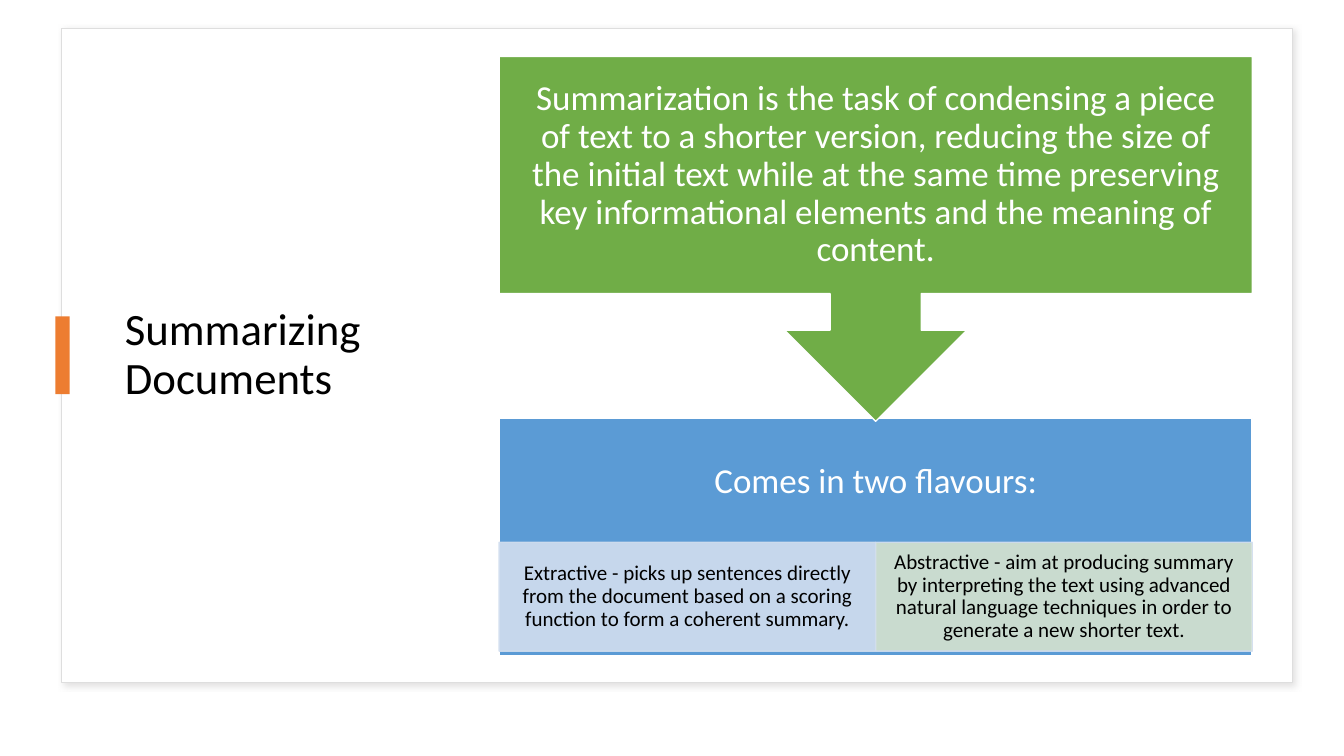
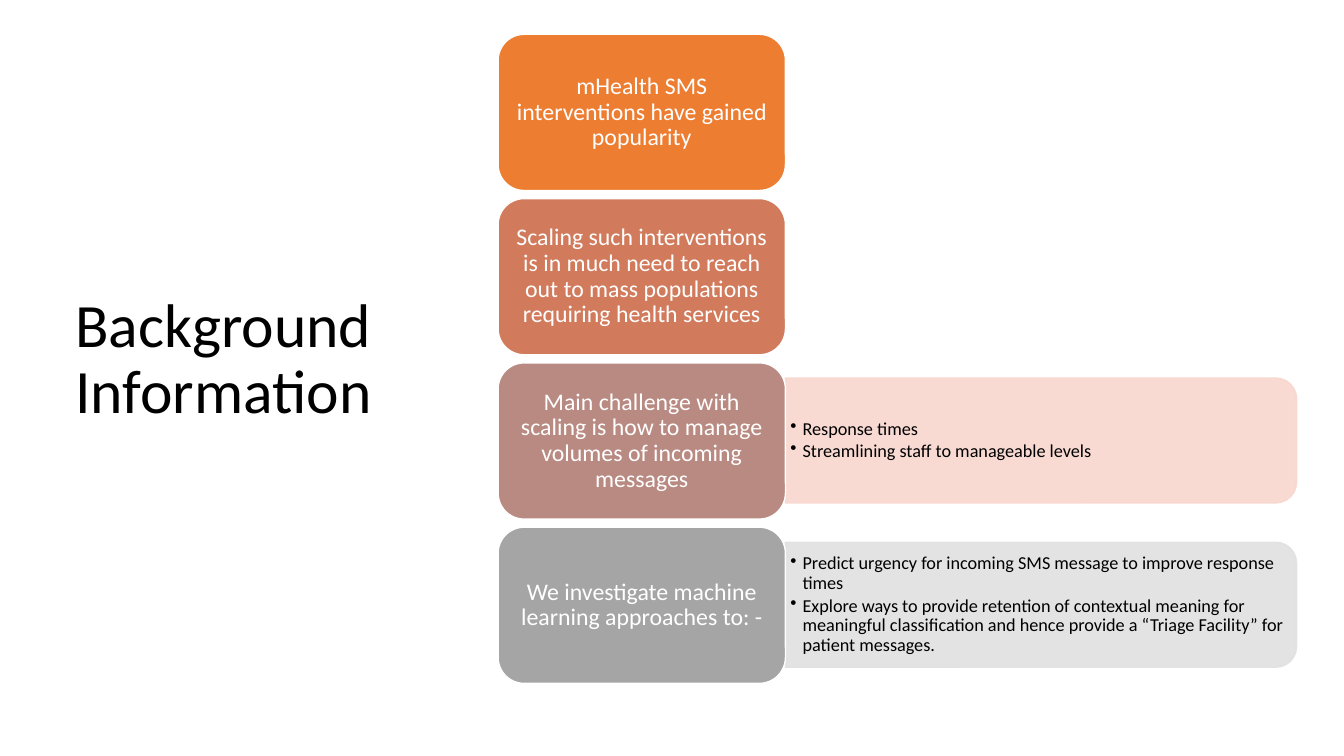
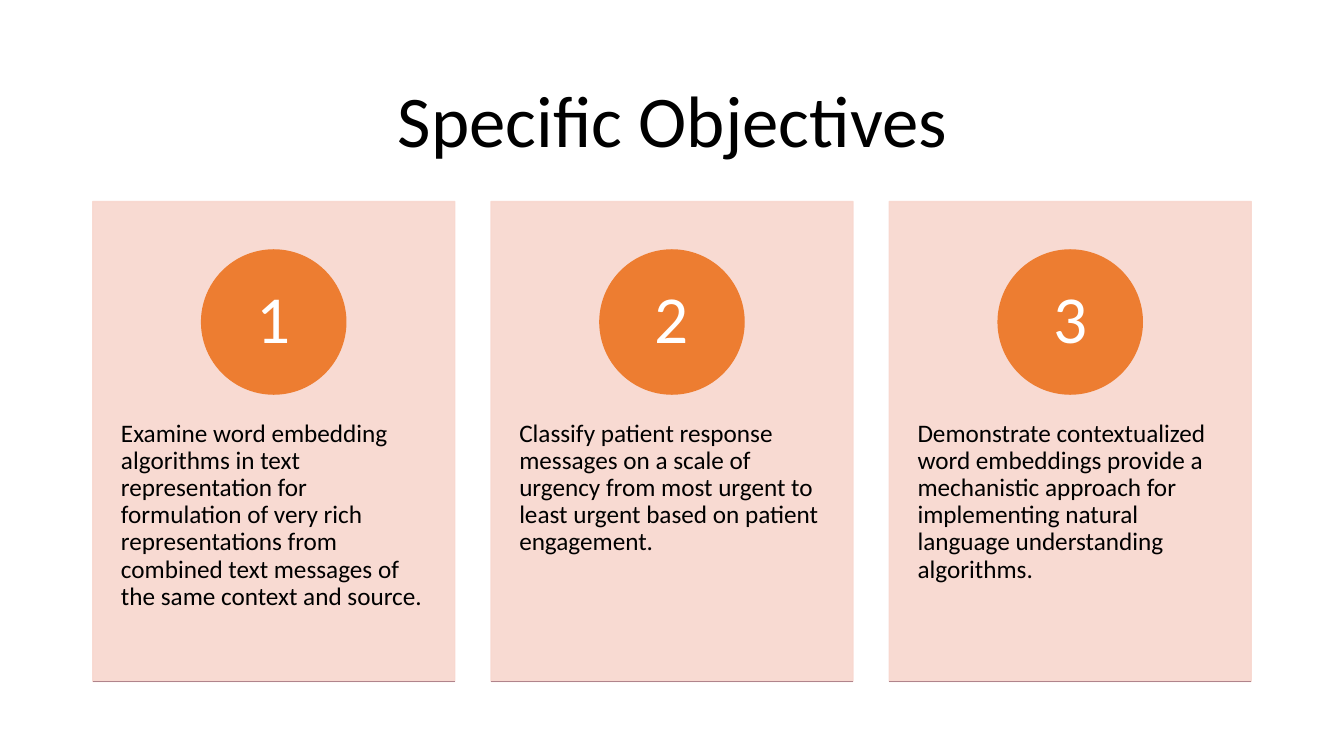
from lxml.etree import SubElement
from pptx import Presentation
from pptx.dml.color import RGBColor
from pptx.enum.shapes import MSO_CONNECTOR as Link, MSO_SHAPE as Kind
from pptx.enum.text import MSO_ANCHOR as Anchor, PP_ALIGN as Align
from pptx.oxml.ns import qn
from pptx.util import Emu, Pt

PX = 9144  # 100 px to the inch
FONT = "Calibri"
WHITE, BLACK = "FFFFFF", "000000"
ORANGE, GREEN, BLUE, GREY = "ED7D31", "70AD47", "5B9BD5", "A5A5A5"
PEACH, PALE = "F8D7CE", "D2DEEF"


def px(n):
    return Emu(round(n * PX))


def rgb(code):
    return RGBColor.from_string(code)


def write(shape, lines, size, color=BLACK, align=Align.CENTER,
          anchor=Anchor.MIDDLE, pad=(10, 5, 10, 5), dots=False):
    """Fill a shape with paragraphs; pad is left, top, right, bottom."""
    frame = shape.text_frame
    frame.word_wrap = True
    frame.vertical_anchor = anchor
    (frame.margin_left, frame.margin_top,
     frame.margin_right, frame.margin_bottom) = map(px, pad)
    for i, line in enumerate(lines):
        para = frame.add_paragraph() if i else frame.paragraphs[0]
        if dots:
            props = para._p.get_or_add_pPr()
            props.set("marL", str(px(12)))
            props.set("indent", str(px(-12)))
            SubElement(props, qn("a:buChar")).set("char", "•")
            para.space_after = Pt(2)
        para.alignment = align
        para.line_spacing = 0.9
        run = para.add_run()
        run.text = line
        font = run.font
        font.name, font.size = FONT, Pt(size)
        font.color.rgb = rgb(color)


def label(slide, box, lines, size, **style):
    write(slide.shapes.add_textbox(*map(px, box)), lines, size, **style)


def title(slide, box, text, size, align=Align.LEFT):
    label(slide, box, [text], size, align=align)


def block(slide, kind, box, fill, line=None, alpha=None):
    """Add a shape; alpha is the opacity of fill and line in percent."""
    shape = slide.shapes.add_shape(kind, *map(px, box))
    shape.shadow.inherit = False
    shape.fill.solid()
    shape.fill.fore_color.rgb = rgb(fill)
    if line:
        shape.line.color.rgb = rgb(line)
        shape.line.width = Pt(1)
    else:
        shape.line.fill.background()
    if alpha:
        for node in shape._element.spPr.iter(qn("a:srgbClr")):
            SubElement(node, qn("a:alpha")).set("val", str(alpha * 1000))
    return shape


def shade(shape):
    """Give a shape a soft shadow to the lower right."""
    effects = shape._element.spPr.find(qn("a:effectLst"))
    outer = SubElement(effects, qn("a:outerShdw"), blurRad=str(Pt(4)),
                       dist=str(Pt(3)), dir="2700000", algn="tl",
                       rotWithShape="0")
    color = SubElement(outer, qn("a:srgbClr"), val="C5C3C3")
    SubElement(color, qn("a:alpha"), val="50000")


def rule(slide, x, y, w, color):
    line = slide.shapes.add_connector(
        Link.STRAIGHT, px(x), px(y), px(x + w), px(y))
    line.line.color.rgb = rgb(color)
    line.line.width = Pt(0.75)
    SubElement(line._element.spPr, qn("a:effectLst"))


def panel(slide, x, y, w, h, color, lines):
    """Add a bulleted panel, rounded on its right side."""
    box = (x + (w - h) / 2, y + (h - w) / 2, h, w)
    shape = block(slide, Kind.ROUND_2_SAME_RECTANGLE, box, color, color, 90)
    shape.rotation = 90
    label(slide, (x, y + 6, w - 6, h - 12), lines, 13, align=Align.LEFT,
          pad=(5, 3, 5, 3), dots=True)


def node(slide, x, y, w, h, color, text):
    shape = block(slide, Kind.ROUNDED_RECTANGLE, (x, y, w, h), color, WHITE)
    write(shape, [text], 17, WHITE, pad=(7, 4, 7, 4))


def card(slide, x, num, text):
    y, w, h, size = 200, 359, 476, 143
    shape = block(slide, Kind.RECTANGLE, (x, y, w, h), PEACH, PEACH, 90)
    write(shape, [text], 18, align=Align.LEFT, anchor=Anchor.TOP,
          pad=(28, 217, 28, 36))
    disc = block(slide, Kind.OVAL, (x + (w - size) / 2, y + 48, size, size),
                 ORANGE, ORANGE)
    write(disc, [str(num)], 48, WHITE, pad=(11, 1, 11, 1))
    rule(slide, x, y + h, w, "B0848C")


def summary(slide):
    shade(block(slide, Kind.RECTANGLE, (61, 28, 1221, 649), WHITE, "DEDEDE"))
    title(slide, (114, 55, 327, 595), "Summarizing Documents", 32)
    block(slide, Kind.RECTANGLE, (55, 314, 14, 77), ORANGE)

    x, w = 495, 747
    base = block(slide, Kind.RECTANGLE, (x, 415, w, 236), BLUE, WHITE)
    write(base, ["Comes in two flavours:"], 25, WHITE, pad=(19, 19, 19, 128))
    types = [
        (PALE, "Extractive - picks up sentences directly from the document "
         "based on a scoring function to form a coherent summary."),
        ("D5E3CF", "Abstractive - aim at producing summary by interpreting "
         "the text using advanced natural language techniques in order to "
         "generate a new shorter text."),
    ]
    for i, (color, text) in enumerate(types):
        half = block(slide, Kind.RECTANGLE, (x + i * w / 2, 538, w / 2, 108),
                     color, PALE, 90)
        write(half, [text], 15, pad=(12, 2, 12, 2))

    arrow = block(slide, Kind.UP_ARROW_CALLOUT, (x, 56, w, 362), GREEN, WHITE)
    arrow.rotation = 180
    label(slide, (x, 56, w, 235), [
        "Summarization is the task of condensing a piece of text to a shorter "
        "version, reducing the size of the initial text while at the same "
        "time preserving key informational elements and the meaning of "
        "content."], 25, color=WHITE, pad=(19, 19, 19, 19))


def context(slide):
    title(slide, (65, 70, 346, 575), "Background Information", 44)
    rows = [
        (ORANGE, "mHealth SMS interventions have gained popularity", None, []),
        ("D17B5C", "Scaling such interventions is in much need to reach out "
         "to mass populations requiring health services", None, []),
        ("B98A82", "Main challenge with scaling is how to manage volumes of "
         "incoming messages", PEACH,
         ["Response times", "Streamlining staff to manageable levels"]),
        (GREY, "We investigate machine learning approaches to: -", "E1E1E1",
         ["Predict urgency for incoming SMS message to improve response times",
          "Explore ways to provide retention of contextual meaning for "
          "meaningful classification and hence provide a “Triage Facility” "
          "for patient messages."]),
    ]
    x, w, h = 494, 285, 155
    for i, (color, text, tint, lines) in enumerate(rows):
        y = 34 + 163 * i
        if lines:
            panel(slide, x + w, y + 15, 507, 124, tint, lines)
        node(slide, x, y, w, h, color, text)


def goals(slide):
    title(slide, (92, 61, 1150, 124), "Specific Objectives", 52, Align.CENTER)
    texts = [
        "Examine word embedding algorithms in text representation for "
        "formulation of very rich representations from combined text messages "
        "of the same context and source.",
        "Classify patient response messages on a scale of urgency from most "
        "urgent to least urgent based on patient engagement.",
        "Demonstrate contextualized word embeddings provide a mechanistic "
        "approach for implementing natural language understanding algorithms.",
    ]
    for i, text in enumerate(texts):
        card(slide, 92 + 395 * i, i + 1, text)


def main():
    deck = Presentation()
    deck.slide_width, deck.slide_height = px(1333), px(750)
    for build in (summary, context, goals):
        build(deck.slides.add_slide(deck.slide_layouts[6]))
    deck.save("out.pptx")


if __name__ == "__main__":
    main()
